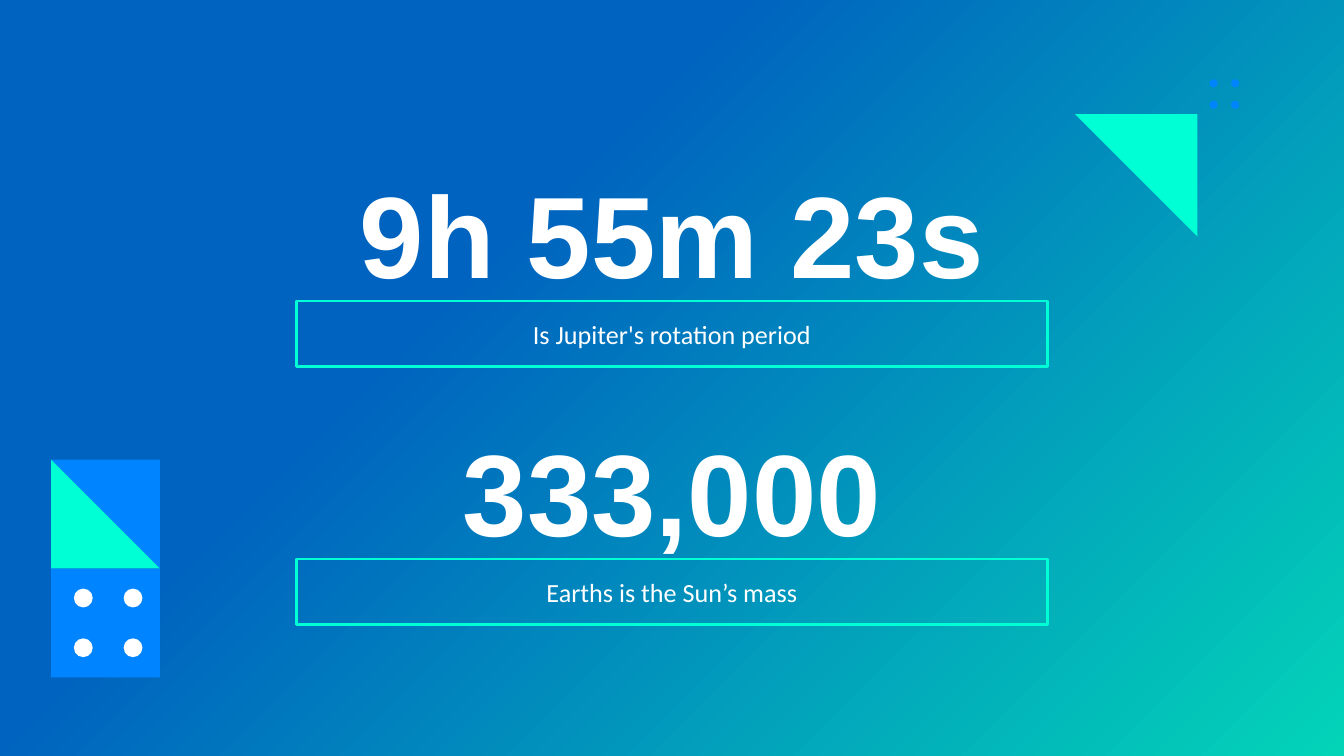
from pptx import Presentation
from pptx.dml.color import RGBColor
from pptx.enum import shapes, text
from pptx.util import Inches, Pt

COLORS = {"deep": "0063BF", "sea": "03D4B8", "mint": "00FFD5",
          "blue": "0084FF", "white": "FFFFFF"}
PAGE_WIDTH = 10
PAGE_HEIGHT = PAGE_WIDTH * 9 / 16
FACT_WIDTH = 5.59
FACTS = [("9h 55m 23s", "Is Jupiter's rotation period"),
         ("333,000", "Earths is the Sun’s mass")]


def color(name):
    """Return the named colour."""
    return RGBColor.from_string(COLORS[name])


def add_shape(page, kind, left, top, width, height, fill=None, line=None, rotation=0):
    """Add a preset shape with an optional fill and outline."""
    shape = page.shapes.add_shape(kind, Inches(left), Inches(top),
                                  Inches(width), Inches(height))
    shape.shadow.inherit = False
    shape.rotation = rotation
    if fill:
        shape.fill.solid()
        shape.fill.fore_color.rgb = color(fill)
    else:
        shape.fill.background()
    if line:
        shape.line.color.rgb = color(line)
        shape.line.width = Pt(1.5)
    else:
        shape.line.fill.background()
    return shape


def write_text(box, words, size, font, bold=False):
    """Write one centred white line into a box."""
    frame = box.text_frame
    frame.word_wrap = True
    frame.vertical_anchor = text.MSO_ANCHOR.MIDDLE
    frame.margin_left = frame.margin_right = Inches(0.1)
    frame.margin_top = frame.margin_bottom = Inches(0.1)
    para = frame.paragraphs[0]
    para.alignment = text.PP_ALIGN.CENTER
    span = para.add_run()
    span.text = words
    span.font.size = Pt(size)
    span.font.name = font
    span.font.bold = bold
    span.font.color.rgb = color("white")


def paint_background(page):
    """Fill the page with a diagonal gradient."""
    fill = page.background.fill
    fill.gradient()
    fill.gradient_angle = 315
    for stop, (name, position) in zip(fill.gradient_stops, [("deep", 0.35), ("sea", 1)]):
        stop.color.rgb = color(name)
        stop.position = position


def add_dots(page, left, top, size, pitch, fill):
    """Add a two by two grid of dots."""
    for column in range(2):
        for row in range(2):
            add_shape(page, shapes.MSO_SHAPE.OVAL, left + column * pitch,
                      top + row * pitch, size, size, fill)


def add_triangle(page, left, top, side, fill, rotation=0):
    """Add a right triangle that fills half a square."""
    add_shape(page, shapes.MSO_SHAPE.RIGHT_TRIANGLE, left, top, side, side,
              fill, rotation=rotation)


def add_corner_ornament(page, left, top):
    """Add the triangle with small dots beside its top corner."""
    add_triangle(page, left, top, 0.91, "mint", rotation=180)
    add_dots(page, left + 1, top - 0.26, 0.06, 0.16, "blue")


def add_tile_ornament(page, left, top, side):
    """Add a split tile above a dotted tile."""
    add_shape(page, shapes.MSO_SHAPE.RECTANGLE, left, top + side, side, side, "blue")
    add_dots(page, left + 0.17, top + side + 0.15, 0.14, 0.37, "white")
    add_triangle(page, left, top, side, "blue", rotation=180)
    add_triangle(page, left, top, side, "mint")


def add_fact(page, left, top, width, number, caption):
    """Add a large number above its outlined caption."""
    title = page.shapes.add_textbox(Inches(left), Inches(top), Inches(width), Inches(0.91))
    write_text(title, number, 62, "Arial", bold=True)
    frame = add_shape(page, shapes.MSO_SHAPE.RECTANGLE, left, top + 0.97,
                      width, 0.49, line="mint")
    write_text(frame, caption, 14, "Calibri")


def main():
    """Build the slide and save it."""
    deck = Presentation()
    deck.slide_width, deck.slide_height = Inches(PAGE_WIDTH), Inches(PAGE_HEIGHT)
    page = deck.slides.add_slide(deck.slide_layouts[6])
    paint_background(page)
    add_corner_ornament(page, 8, 0.85)
    add_tile_ornament(page, 0.38, 3.42, 0.81)
    fact_left = (PAGE_WIDTH - FACT_WIDTH) / 2
    for index, (number, caption) in enumerate(FACTS):
        add_fact(page, fact_left, 1.27 + index * 1.92, FACT_WIDTH, number, caption)
    deck.save("out.pptx")


if __name__ == "__main__":
    main()
